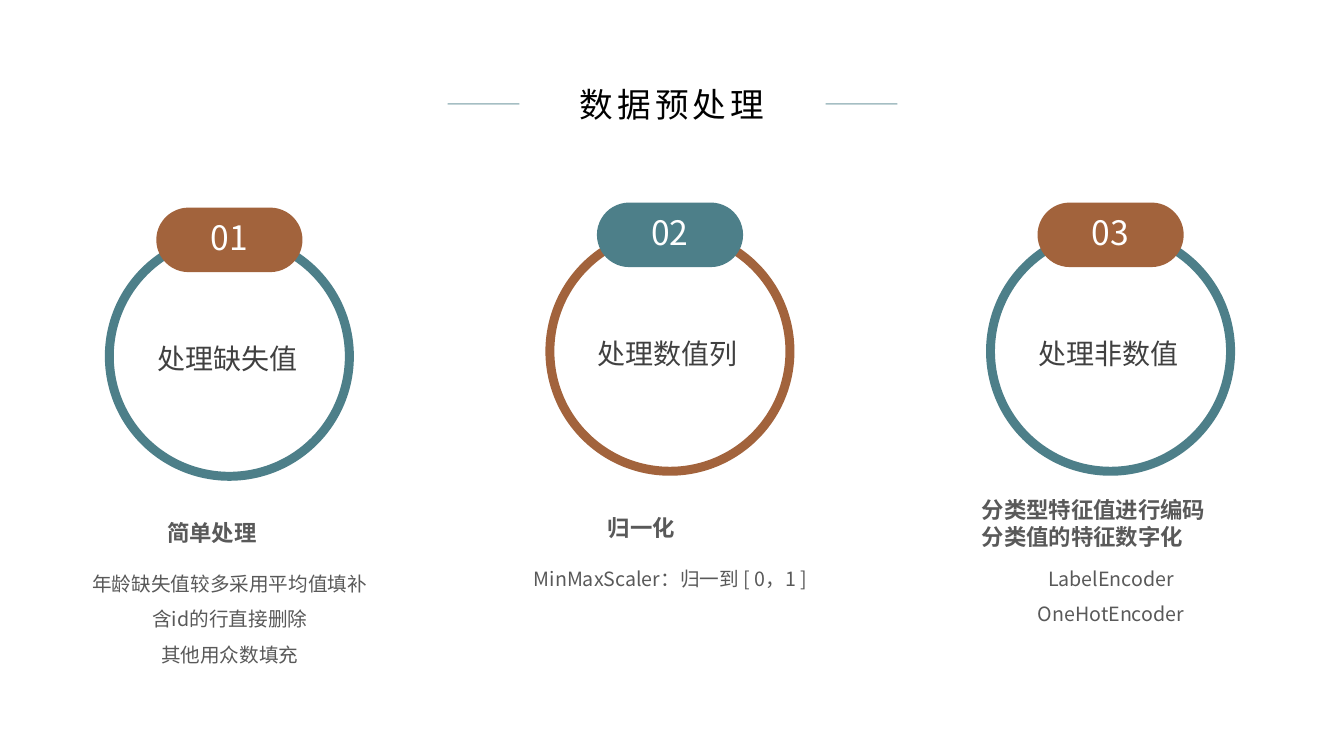
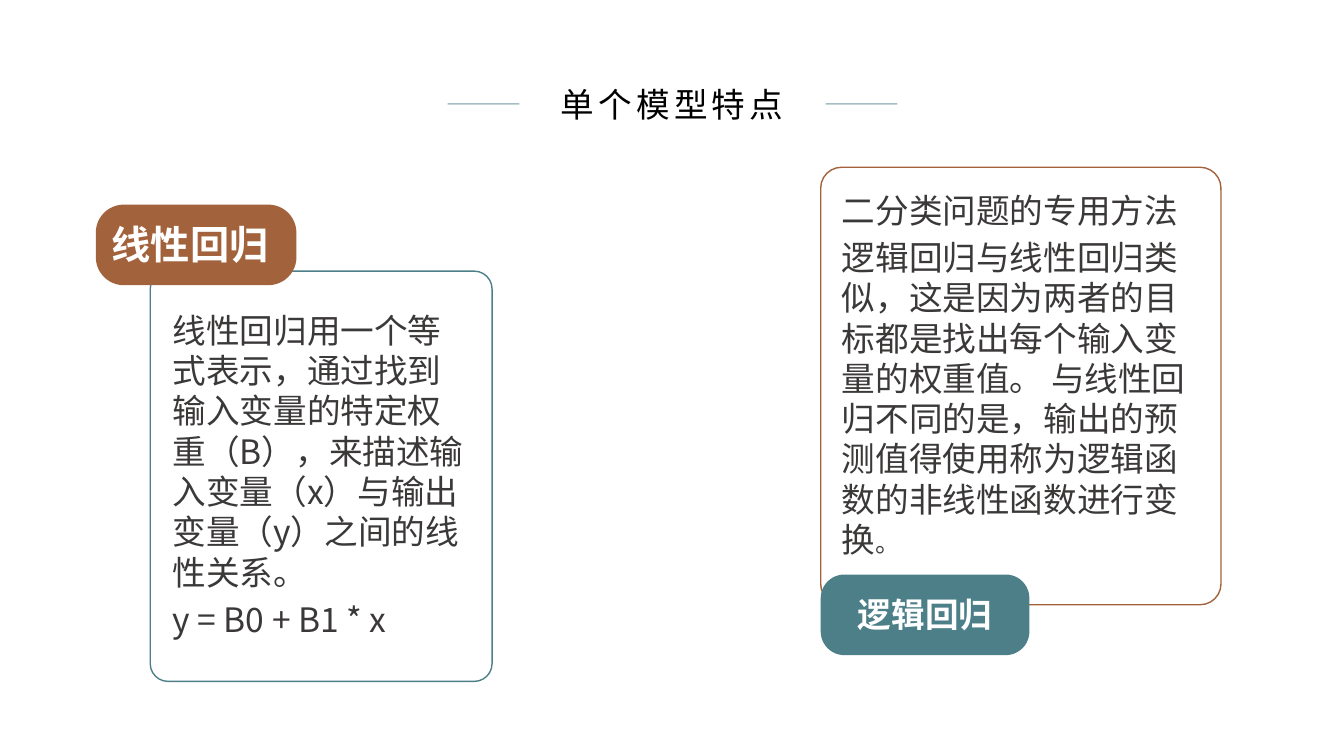
from lxml import etree
from pptx import Presentation
from pptx import util as u
from pptx.dml.color import RGBColor
from pptx.enum import shapes, text
from pptx.oxml import ns


class Theme:
    font = "Noto Sans CJK SC"
    teal, brown, white, black = "4D7F89", "A2633C", "FFFFFF", "000000"
    heading, label, body = "595959", "404040", "3B3838"
    title_size, badge_size, card_size, number_size = 24, 28, 24, 24
    label_size, heading_size, note_size, stop_size = 20, 16, 14, 18


ALIGN = text.PP_ALIGN
MIDDLE = text.MSO_ANCHOR.MIDDLE
SHAPE = shapes.MSO_SHAPE


class Deck:
    """Holds the presentation, its style and the current slide."""

    def __init__(self):
        self.presentation = Presentation()
        self.presentation.slide_width = u.Inches(13.33)
        self.presentation.slide_height = u.Inches(7.5)
        self.slide = None

    def add_slide(self, title):
        self.slide = self.presentation.slides.add_slide(self.presentation.slide_layouts[6])
        for left in (4.44, 8.19):
            self.title_rule(left, 1.03, 0.71)
        self.text_box((5.19, 0.78, 2.95, 0.5), [title], Theme.title_size,
                      Theme.black, align=ALIGN.CENTER, tracking=3)

    def title_rule(self, left, top, width):
        rule = self.slide.shapes.add_connector(
            shapes.MSO_CONNECTOR.STRAIGHT, u.Inches(left), u.Inches(top),
            u.Inches(left + width), u.Inches(top))
        rule.line.width = u.Pt(1)
        rule.line.color.rgb = RGBColor.from_string(Theme.teal)
        properties = rule._element.spPr
        color = properties.find(".//" + ns.qn("a:srgbClr"))
        etree.SubElement(color, ns.qn("a:alpha"), val="50000")
        etree.SubElement(properties, ns.qn("a:effectLst"))

    def shape(self, kind, box, adjustment, fill, line=None):
        shape = self.slide.shapes.add_shape(kind, *map(u.Inches, box))
        shape.adjustments[0] = adjustment
        shape.shadow.inherit = False
        shape.fill.solid()
        shape.fill.fore_color.rgb = RGBColor.from_string(fill)
        if line:
            shape.line.color.rgb = RGBColor.from_string(line)
            shape.line.width = u.Pt(1)
        else:
            shape.line.fill.background()
        return shape

    def text_box(self, box, lines, size, color, **style):
        shape = self.slide.shapes.add_textbox(*map(u.Inches, box))
        self.set_text(shape, lines, size, color, **style)

    def set_text(self, shape, lines, size, color, bold=False, align=ALIGN.LEFT,
                 anchor=text.MSO_ANCHOR.TOP, margins=(0.1, 0.05, 0.1, 0.05),
                 spacing=None, gap=0, tracking=0):
        frame = shape.text_frame
        frame.word_wrap = True
        frame.vertical_anchor = anchor
        (frame.margin_left, frame.margin_top,
         frame.margin_right, frame.margin_bottom) = map(u.Inches, margins)
        for index, line in enumerate(lines):
            paragraph = frame.add_paragraph() if index else frame.paragraphs[0]
            paragraph.text = line
            paragraph.alignment = align
            if spacing:
                paragraph.line_spacing = spacing
            if index and gap:
                paragraph.space_before = u.Pt(gap)
            font = paragraph.font
            font.name, font.size, font.bold = Theme.font, u.Pt(size), bold
            font.color.rgb = RGBColor.from_string(color)
            # East Asian typeface and letter spacing
            defaults = paragraph._p.pPr.find(ns.qn("a:defRPr"))
            etree.SubElement(defaults, ns.qn("a:ea"), typeface=Theme.font)
            if tracking:
                defaults.set("spc", str(tracking * 100))

    def step(self, left, top, number, label, ring_color, pill_color):
        ring = self.shape(SHAPE.DONUT, (left, top, 2.47, 2.47), 0.036, ring_color)
        self.set_text(ring, [label], Theme.label_size, Theme.label, align=ALIGN.CENTER,
                      anchor=MIDDLE, margins=(0, 0.05, 0.04, 0))
        pill = self.shape(SHAPE.ROUNDED_RECTANGLE, (left + 0.51, top - 0.24, 1.45, 0.64),
                          0.5, pill_color)
        self.set_text(pill, [number], Theme.number_size, Theme.white, align=ALIGN.CENTER,
                      anchor=MIDDLE, margins=(0, 0, 0, 0.05))

    def step_text(self, left, top, heading_box, headings, notes):
        self.text_box(heading_box, headings, Theme.heading_size, Theme.heading,
                      bold=True, align=ALIGN.JUSTIFY)
        self.text_box((left - 0.38, top + 3.21, 3.24, 0.1 + 0.35 * len(notes)), notes,
                      Theme.note_size, Theme.heading, align=ALIGN.CENTER, spacing=1.5)

    def card(self, box, color, lines, margins):
        card = self.shape(SHAPE.ROUNDED_RECTANGLE, box, 0.052, Theme.white, color)
        self.set_text(card, lines, Theme.card_size, Theme.body, margins=margins, gap=5)
        return card

    def badge(self, box, corner, color, label, size, right_margin=0):
        badge = self.shape(SHAPE.ROUNDED_RECTANGLE, box, corner, color)
        self.set_text(badge, [label], size, Theme.white, bold=True, align=ALIGN.CENTER,
                      anchor=MIDDLE, margins=(0, 0, right_margin, 0.02))


def preprocessing(deck):
    deck.add_slide("数据预处理")
    # Ring top, label, headings, heading offset and size, notes
    steps = [
        (2.3, "处理缺失值", ["简单处理"], (0.52, 2.8, 1.45, 0.37),
         ["年龄缺失值较多采用平均值填补", "含id的行直接删除", "其他用众数填充"]),
        (2.25, "处理数值列", ["归一化"], (0.52, 2.8, 1.45, 0.37),
         ["MinMaxScaler：归一到 [ 0，1 ]"]),
        (2.25, "处理非数值", ["分类型特征值进行编码", "分类值的特征数字化"],
         (-0.14, 2.62, 2.92, 0.64), ["LabelEncoder", "OneHotEncoder"]),
    ]
    for index, (top, label, headings, (dx, dy, width, height), notes) in enumerate(steps):
        left = 1.04 + 4.37 * index
        colors = (Theme.brown, Theme.teal) if index % 2 else (Theme.teal, Theme.brown)
        deck.step(left, top, f"{index + 1:02}", label, *colors)
        deck.step_text(left, top, (left + dx, top + dy, width, height), headings, notes)


def model_features(deck):
    deck.add_slide("单个模型特点")
    # Linear regression
    deck.card((1.49, 2.69, 3.39, 4.07), Theme.teal, [
        "线性回归用一个等式表示，通过找到输入变量的特定权重（B），"
        "来描述输入变量（x）与输出变量（y）之间的线性关系。",
        "y = B0 + B1 * x"], (0.17, 0.33, 0.16, 0.05))
    deck.badge((0.95, 2.03, 1.99, 0.8), 0.348, Theme.brown, "线性回归",
               Theme.badge_size, right_margin=0.12)
    # Logistic regression, closing with a smaller full stop
    card = deck.card((8.14, 1.66, 3.97, 4.34), Theme.brown, [
        "二分类问题的专用方法",
        "逻辑回归与线性回归类似，这是因为两者的目标都是找出每个输入变量的权重值。 "
        "与线性回归不同的是，输出的预测值得使用称为逻辑函数的非线性函数进行变换"],
        (0.15, 0.16, 0.25, 0.05))
    full_stop = card.text_frame.paragraphs[-1].add_run()
    full_stop.text = "。"
    full_stop.font.size = u.Pt(Theme.stop_size)
    deck.badge((8.14, 5.7, 2.07, 0.8), 0.294, Theme.teal, "逻辑回归", Theme.title_size)


def main():
    deck = Deck()
    preprocessing(deck)
    model_features(deck)
    deck.presentation.save("out.pptx")


if __name__ == "__main__":
    main()
